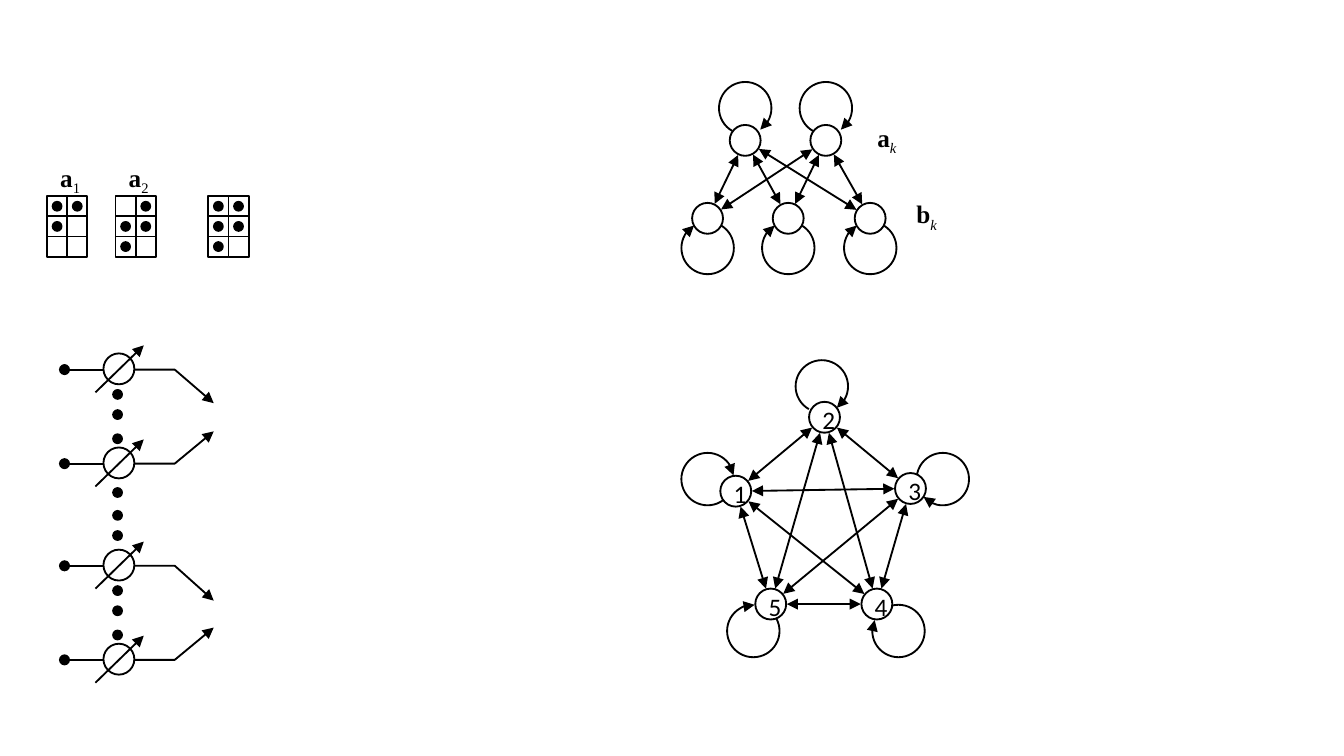
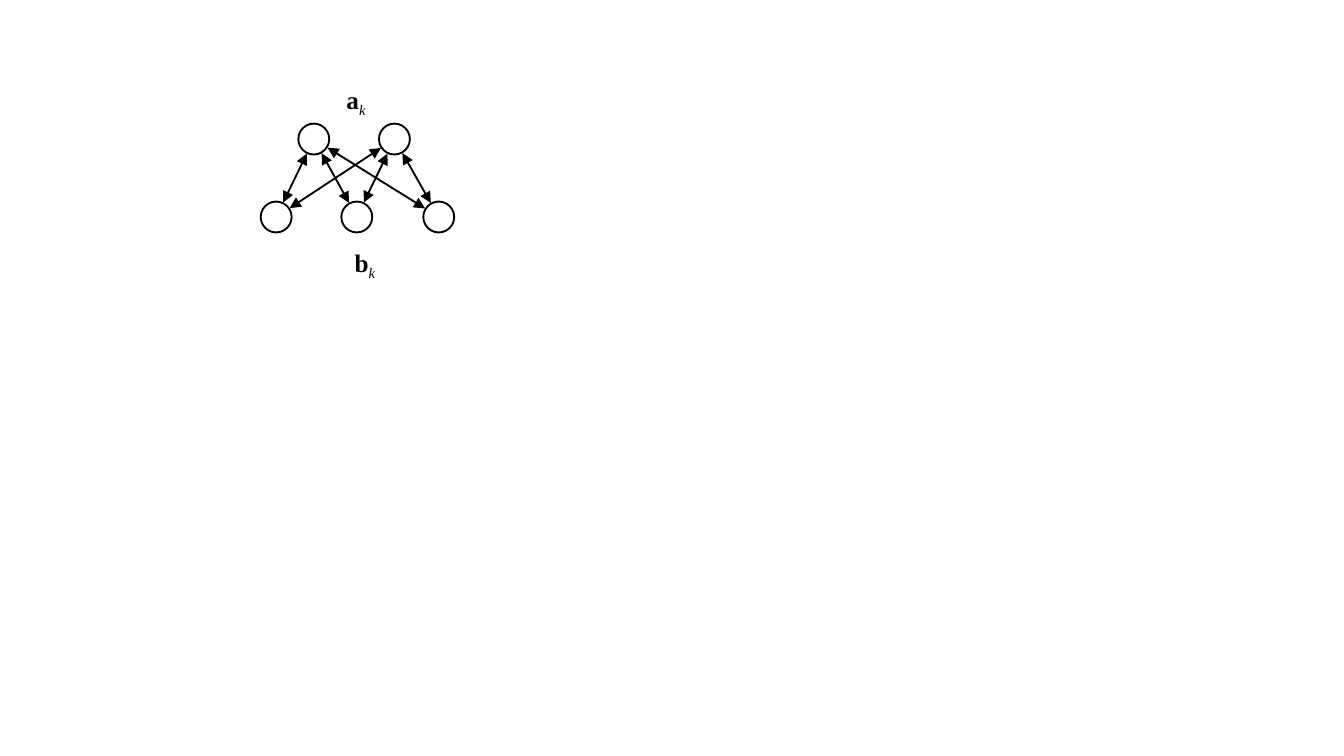
from dataclasses import dataclass
from itertools import combinations, product
from math import hypot

from lxml import etree
from pptx import Presentation
from pptx import util as u
from pptx.dml.color import RGBColor
from pptx.enum import shapes, text
from pptx.oxml import ns

COLORS = {"ink": "000000"}
INK = RGBColor.from_string(COLORS["ink"])
NODE = 0.23        # diameter of a node or valve
LOOP = 0.39        # diameter of a self-loop
DOT = 0.07
CELL = 0.15        # pitch of a pattern cell
LINK_GAP = 0.12    # distance from a node centre to the end of its links

SERIF = {"name": "Times New Roman", "size": u.Pt(13.5), "bold": True}
SUBSCRIPT = {"name": "Times New Roman", "size": u.Pt(13.5), "bold": False}
INDEX = {**SUBSCRIPT, "italic": True}
NUMBER = {"name": "Calibri", "size": u.Pt(13.5)}


@dataclass
class Loop:
    dx: float      # offset from the node's corner
    dy: float
    start: float   # angles in degrees, clockwise
    end: float


@dataclass
class Node:
    x: float
    y: float
    loop: Loop | None = None
    label: str = ""

    @property
    def center(self) -> tuple[float, float]:
        return self.x + NODE / 2, self.y + NODE / 2


@dataclass
class Pattern:
    x: float
    dots: list[tuple[int, int]]   # column, row
    index: str = ""


@dataclass
class Channel:
    y: float
    outlet_y: float
    dots: tuple[float, ...] = ()   # offsets below the channel


# --- Drawing helpers ---
def set_line(part, width: float = 1, head: str = "", tail: str = "") -> None:
    part.line.color.rgb = INK
    part.line.width = u.Pt(width)
    ln = part.line._get_or_add_ln()
    for tag, kind in (("a:headEnd", head), ("a:tailEnd", tail)):
        if kind:
            etree.SubElement(ln, ns.qn(tag)).set("type", kind)


def add_outline(canvas, kind, x: float, y: float, size: float, tail: str = ""):
    outline = canvas.add_shape(kind, *map(u.Inches, (x, y, size, size)))
    outline.shadow.inherit = False
    outline.fill.background()
    set_line(outline, tail=tail)
    return outline


def add_circle(canvas, x: float, y: float) -> None:
    add_outline(canvas, shapes.MSO_SHAPE.OVAL, x, y, NODE)


def add_dot(canvas, x: float, y: float) -> None:
    dot = add_outline(canvas, shapes.MSO_SHAPE.OVAL, x, y, DOT)
    dot.fill.solid()
    dot.fill.fore_color.rgb = INK
    dot.line.width = u.Pt(0.75)


def add_line(canvas, start, end, head: str = "", tail: str = "") -> None:
    line = canvas.add_connector(shapes.MSO_CONNECTOR.STRAIGHT,
                                *map(u.Inches, (*start, *end)))
    set_line(line, head=head, tail=tail)
    etree.SubElement(line._element.spPr, ns.qn("a:effectLst"))


def add_label(canvas, x: float, y: float, width: float, runs) -> None:
    """Write one line from (words, format, is_subscript) runs."""
    box = canvas.add_textbox(*map(u.Inches, (x, y, width, 0.33)))
    frame = box.text_frame
    frame.word_wrap = False
    frame.auto_size = text.MSO_AUTO_SIZE.SHAPE_TO_FIT_TEXT
    for words, style, is_subscript in runs:
        run = frame.paragraphs[0].add_run()
        run.text = words
        run.font.color.rgb = INK
        for key, value in style.items():
            setattr(run.font, key, value)
        if is_subscript:
            run._r.get_or_add_rPr().set("baseline", "-25000")


def add_vector(canvas, x: float, y: float, letter: str, index: str,
               style: dict = INDEX) -> None:
    add_label(canvas, x, y, 0.36, [(letter, SERIF, False), (index, style, True)])


# --- Parts of the diagrams ---
def add_pattern(canvas, pattern: Pattern, top: float = 1.46) -> None:
    grid = canvas.add_group_shape().shapes
    for row, column in product(range(3), range(2)):
        add_outline(grid, shapes.MSO_SHAPE.RECTANGLE,
                    pattern.x + column * CELL, top + row * CELL, CELL)
    for column, row in pattern.dots:
        add_dot(canvas, pattern.x + 0.04 + column * CELL, top + 0.04 + row * CELL)
    if pattern.index:
        add_vector(canvas, pattern.x, top - 0.3, "a", pattern.index, SUBSCRIPT)


def add_channel(canvas, channel: Channel) -> None:
    y = channel.y
    valve = canvas.add_group_shape().shapes
    add_line(valve, (0.71, y + 0.17), (1.07, y - 0.18), tail="triangle")
    add_circle(valve, 0.77, y - 0.12)
    add_line(canvas, (0.48, y), (0.77, y), head="oval")
    outlet = canvas.build_freeform(u.Inches(1), u.Inches(y), 1.0)
    outlet.add_line_segments([(u.Inches(1.3), u.Inches(y)),
                              (u.Inches(1.59), u.Inches(channel.outlet_y))],
                             close=False)
    branch = outlet.convert_to_shape()
    branch.shadow.inherit = False
    branch.fill.background()
    set_line(branch, tail="triangle")
    for offset in channel.dots:
        add_dot(canvas, 0.84, y + offset)


def add_node(canvas, node: Node) -> None:
    add_circle(canvas, node.x, node.y)
    if node.loop:
        arc = add_outline(canvas, shapes.MSO_SHAPE.ARC, node.x + node.loop.dx,
                          node.y + node.loop.dy, LOOP, tail="triangle")
        for position, angle in enumerate((node.loop.start, node.loop.end)):
            arc.adjustments[position] = angle * 0.6   # 60000 units per degree
    if node.label:
        add_label(canvas, node.x, node.y - 0.03, 0.3,
                  [(node.label, NUMBER, False)])


def add_graph(canvas, nodes, links) -> None:
    for node in nodes:
        add_node(canvas, node)
    for first, second in links:
        (x1, y1), (x2, y2) = first.center, second.center
        trim = LINK_GAP / hypot(x2 - x1, y2 - y1)
        dx, dy = (x2 - x1) * trim, (y2 - y1) * trim
        add_line(canvas, (x1 + dx, y1 + dy), (x2 - dx, y2 - dy),
                 head="triangle", tail="triangle")


def add_two_layers(canvas, x: float, y: float, has_loops: bool) -> None:
    over = Loop(-0.08, -0.32, 119.6, 55) if has_loops else None
    under = Loop(-0.08, 0.14, 302, 238.7) if has_loops else None
    upper = [Node(x + dx, y, over) for dx in (0, 0.6)]
    lower = [Node(x + dx, y + 0.58, under) for dx in (-0.28, 0.32, 0.93)]
    add_graph(canvas, upper + lower, product(upper, lower))


# --- Content ---
PATTERNS = [
    Pattern(0.35, [(0, 0), (1, 0), (0, 1)], "1"),
    Pattern(0.86, [(1, 0), (0, 1), (1, 1), (0, 2)], "2"),
    Pattern(1.55, [(0, 0), (1, 0), (0, 1), (1, 1), (0, 2)]),
]
CHANNELS = [
    Channel(2.75, 3.0, (0.15, 0.3, 0.48)),
    Channel(3.45, 3.21, (0.18, 0.35, 0.5)),
    Channel(4.21, 4.47, (0.15, 0.3, 0.48)),
    Channel(4.91, 4.67),
]
PENTAGON = [
    Node(5.36, 3.54, Loop(-0.29, -0.17, 52.7, 351.6), "1"),
    Node(6.02, 2.99, Loop(-0.1, -0.31, 119.6, 55), "2"),
    Node(6.66, 3.52, Loop(0.16, -0.15, 191.25, 137.2), "3"),
    Node(6.41, 4.38, Loop(0.08, 0.12, 253.9, 204.5), "4"),
    Node(5.62, 4.38, Loop(-0.21, 0.12, 332.8, 272.9), "5"),
]

deck = Presentation()
deck.slide_width = u.Inches(10)
deck.slide_height = deck.slide_width * 9 // 16
blank = deck.slide_layouts[6]

# --- Slide 1: patterns, channels and the two recurrent graphs ---
overview = deck.slides.add_slide(blank).shapes
for pattern in PATTERNS:
    add_pattern(overview, pattern)
for channel in CHANNELS:
    add_channel(overview, channel)
add_graph(overview, PENTAGON, combinations(PENTAGON, 2))
add_two_layers(overview, 5.43, 0.93, has_loops=True)
add_vector(overview, 6.43, 0.86, "a", "k")
add_vector(overview, 6.72, 1.43, "b", "k")

# --- Slide 2: two layers without self-loops ---
layers = deck.slides.add_slide(blank).shapes
add_two_layers(layers, 2.22, 0.92, has_loops=False)
add_vector(layers, 2.48, 0.58, "a", "k")
add_vector(layers, 2.54, 1.79, "b", "k")

deck.save("out.pptx")
